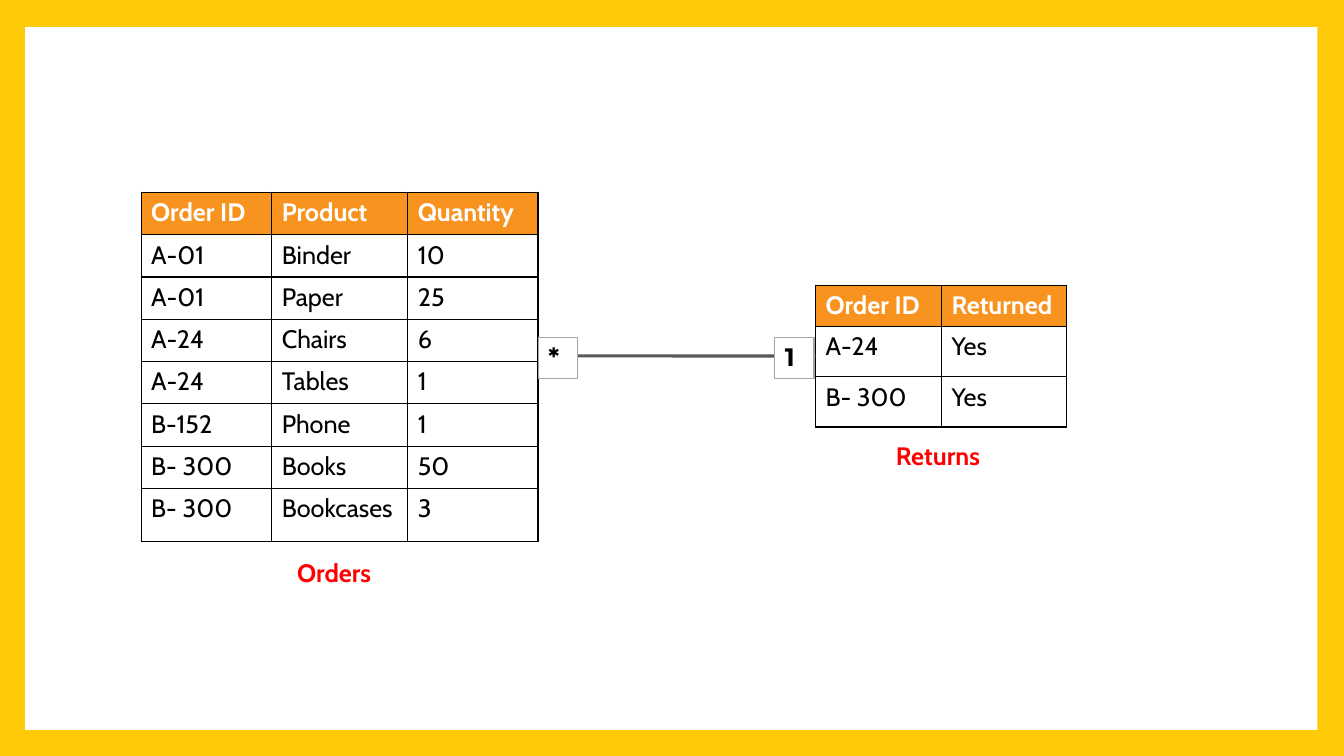
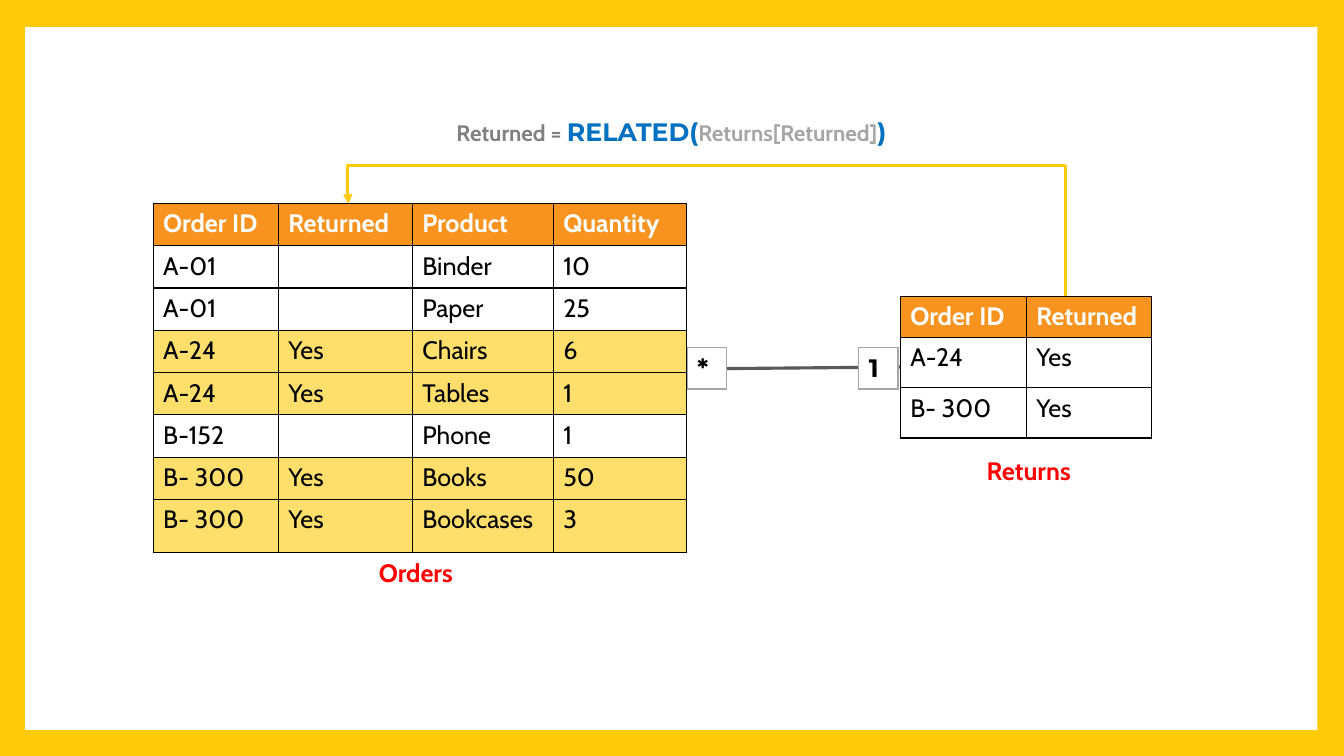
from dataclasses import dataclass

from lxml import etree
from pptx import Presentation
from pptx.dml.color import RGBColor
from pptx.enum.shapes import MSO_CONNECTOR, MSO_SHAPE
from pptx.enum.text import MSO_AUTO_SIZE
from pptx.oxml.ns import qn
from pptx.shapes.connector import Connector
from pptx.shapes.graphfrm import GraphicFrame
from pptx.slide import Slide
from pptx.util import Pt

RECTANGLE = MSO_SHAPE.RECTANGLE
STRAIGHT, ELBOW = MSO_CONNECTOR.STRAIGHT, MSO_CONNECTOR.ELBOW
FIT_SHAPE = MSO_AUTO_SIZE.SHAPE_TO_FIT_TEXT
LEFT_SIDE = 1

COLORS = {
    "yellow": "FFCA08", "white": "FFFFFF", "header": "F7931E", "match": "FFDF6B",
    "black": "000000", "red": "FF0000", "blue": "0070C0", "line": "595959",
    "gray": "808080", "light": "A6A6A6",
}

FORMATS = {
    "header": {"size": Pt(18), "name": "Cabin", "bold": True},
    "cell": {"size": Pt(18), "name": "Cabin", "bold": False},
    "symbol": {"size": Pt(18), "name": "Montserrat", "bold": True},
    "argument": {"size": Pt(16), "name": "Cabin", "bold": True},
}

ORDER_ROWS = [
    ("A-01", "Binder", "10"), ("A-01", "Paper", "25"), ("A-24", "Chairs", "6"),
    ("A-24", "Tables", "1"), ("B-152", "Phone", "1"), ("B- 300", "Books", "50"),
    ("B- 300", "Bookcases", "3"),
]
RETURNED = {"A-24": "Yes", "B- 300": "Yes"}
ORDER_HEIGHTS = [30.2] * 7 + [37.7]
RETURN_HEIGHTS = [29, 36, 36]
RETURN_WIDTHS = [90, 89.5]
MARKER_WIDTH, MARKER_HEIGHT = 28, 29.5


@dataclass
class TextRun:
    text: str
    style: str
    color: str


@dataclass
class Grid:
    left: float
    top: float
    widths: list[float]
    heights: list[float]
    rows: list[tuple[str, ...]]
    matches: frozenset[str] = frozenset()


@dataclass
class Label:
    text: str
    left: float
    top: float
    width: float


@dataclass
class Relation:
    orders: Grid
    returns: Grid
    many_left: float
    one_left: float
    marker_top: float
    start: tuple[float, float]
    labels: list[Label]


FORMULA = [
    TextRun("Returned = ", "argument", "gray"), TextRun("RELATED(", "symbol", "blue"),
    TextRun("Returns[Returned]", "argument", "light"), TextRun(")", "symbol", "blue"),
]


def rgb(color: str) -> RGBColor:
    return RGBColor.from_string(COLORS[color])


def write_runs(tf, runs: list[TextRun]) -> None:
    p = tf.paragraphs[0]
    for run in runs:
        r = p.add_run()
        r.text = run.text
        for key, value in FORMATS[run.style].items():
            setattr(r.font, key, value)
        r.font.color.rgb = rgb(run.color)


def style_cell(cell, run: TextRun, fill: str, border: str) -> None:
    cell_props = cell._tc.get_or_add_tcPr()
    for side in ("a:lnL", "a:lnR", "a:lnT", "a:lnB"):
        ln = etree.SubElement(cell_props, qn(side), w=str(Pt(1)))
        solid = etree.SubElement(ln, qn("a:solidFill"))
        etree.SubElement(solid, qn("a:srgbClr"), val=COLORS[border])
    cell.fill.solid()
    cell.fill.fore_color.rgb = rgb(fill)
    if run.text:
        write_runs(cell.text_frame, [run])


def new_table(s: Slide, grid: Grid, has_header: bool) -> GraphicFrame:
    frame = s.shapes.add_table(
        len(grid.heights), len(grid.widths), Pt(grid.left), Pt(grid.top),
        Pt(sum(grid.widths)), Pt(sum(grid.heights)))
    table = frame.table
    table.first_row, table.horz_banding = has_header, False
    for column, width in zip(table.columns, grid.widths):
        column.width = Pt(width)
    for row, height in zip(table.rows, grid.heights):
        row.height = Pt(height)
    return frame


def add_grid(s: Slide, grid: Grid) -> GraphicFrame:
    frame = new_table(s, grid, True)
    for i, values in enumerate(grid.rows):
        style, color, fill = "cell", "black", "white"
        if i == 0:
            style, color, fill = "header", "white", "header"
        elif values[0] in grid.matches:
            fill = "match"
        for j, text in enumerate(values):
            style_cell(frame.table.cell(i, j), TextRun(text, style, color), fill, "black")
    return frame


def add_marker(s: Slide, symbol: str, left: float, top: float) -> None:
    """Add the small box that shows one end's cardinality."""
    grid = Grid(left, top, [MARKER_WIDTH], [MARKER_HEIGHT], [(symbol,)])
    frame = new_table(s, grid, False)
    style_cell(frame.table.cell(0, 0), TextRun(symbol, "symbol", "black"), "white", "light")


def add_line(s: Slide, start: tuple[float, float], end: tuple[float, float],
             color: str, kind=STRAIGHT) -> Connector:
    line = s.shapes.add_connector(kind, *(Pt(v) for v in (*start, *end)))
    line.line.color.rgb = rgb(color)
    line.line.width = Pt(2.25)
    etree.SubElement(line._element.spPr, qn("a:effectLst"))
    return line


def add_text(s: Slide, left: float, top: float, width: float, runs: list[TextRun]) -> None:
    tf = s.shapes.add_textbox(Pt(left), Pt(top), Pt(width), Pt(29)).text_frame
    tf.word_wrap = True
    tf.auto_size = FIT_SHAPE
    write_runs(tf, runs)


def add_relation(s: Slide, relation: Relation) -> None:
    returns = add_grid(s, relation.returns)
    add_grid(s, relation.orders)
    link = add_line(s, relation.start, relation.start, "line")
    link.end_connect(returns, LEFT_SIDE)
    add_marker(s, "*", relation.many_left, relation.marker_top)
    add_marker(s, "1", relation.one_left, relation.marker_top)
    for label in relation.labels:
        add_text(s, label.left, label.top, label.width,
                 [TextRun(label.text, "header", "red")])


def add_lookup_arrow(s: Slide) -> None:
    """Lead from the Returned column of Returns to the one in Orders."""
    corner = (761, 118)
    arrow = add_line(s, corner, (249, 145.4), "yellow", ELBOW)
    guides = arrow._element.spPr.find(qn("a:prstGeom")).get_or_add_avLst()
    etree.SubElement(guides, qn("a:gd"), name="adj1", fmla="val 100100")
    etree.SubElement(arrow.line._get_or_add_ln(), qn("a:tailEnd"), type="triangle")
    add_line(s, corner, (761, 211.7), "yellow")


def set_master(prs, s: Slide) -> None:
    """Give all slides the yellow border around a white area."""
    master = prs.slide_master
    master.background.fill.solid()
    master.background.fill.fore_color.rgb = rgb("yellow")
    area = s.shapes.add_shape(RECTANGLE, Pt(18), Pt(19.4), Pt(923), Pt(502))
    area.shadow.inherit = False
    area.fill.solid()
    area.fill.fore_color.rgb = rgb("white")
    area.line.fill.background()
    master.shapes._spTree.insert(2, area._element)


def main() -> None:
    prs = Presentation()
    prs.slide_width, prs.slide_height = Pt(960), Pt(540)
    blank = prs.slide_layouts[6]
    return_rows = [("Order ID", "Returned"), *RETURNED.items()]

    plain_rows = [("Order ID", "Product", "Quantity"), *ORDER_ROWS]
    s = prs.slides.add_slide(blank)
    set_master(prs, s)
    add_relation(s, Relation(
        Grid(100.8, 137.5, [93.3, 97.2, 93], ORDER_HEIGHTS, plain_rows),
        Grid(582.5, 203.8, RETURN_WIDTHS, RETURN_HEIGHTS, return_rows),
        384.5, 553.5, 240.8, (384.5, 254.2),
        [Label("Returns", 632.9, 311, 78.5), Label("Orders", 205.2, 394.6, 74.2)]))

    joined_rows = [("Order ID", "Returned", "Product", "Quantity")]
    joined_rows += [(order_id, RETURNED.get(order_id, ""), product, quantity)
                    for order_id, product, quantity in ORDER_ROWS]
    s = prs.slides.add_slide(blank)
    add_relation(s, Relation(
        Grid(109.4, 145.4, [89.4, 95.7, 100.7, 95.3], ORDER_HEIGHTS, joined_rows,
             frozenset(RETURNED)),
        Grid(643, 211.7, RETURN_WIDTHS, RETURN_HEIGHTS, return_rows),
        491, 613.5, 248.4, (495.4, 263.5),
        [Label("Returns", 697.7, 321.8, 78.5), Label("Orders", 263.5, 394.6, 74.2)]))
    add_lookup_arrow(s)
    add_text(s, 319, 79.2, 422.6, FORMULA)
    prs.save("out.pptx")


if __name__ == "__main__":
    main()
